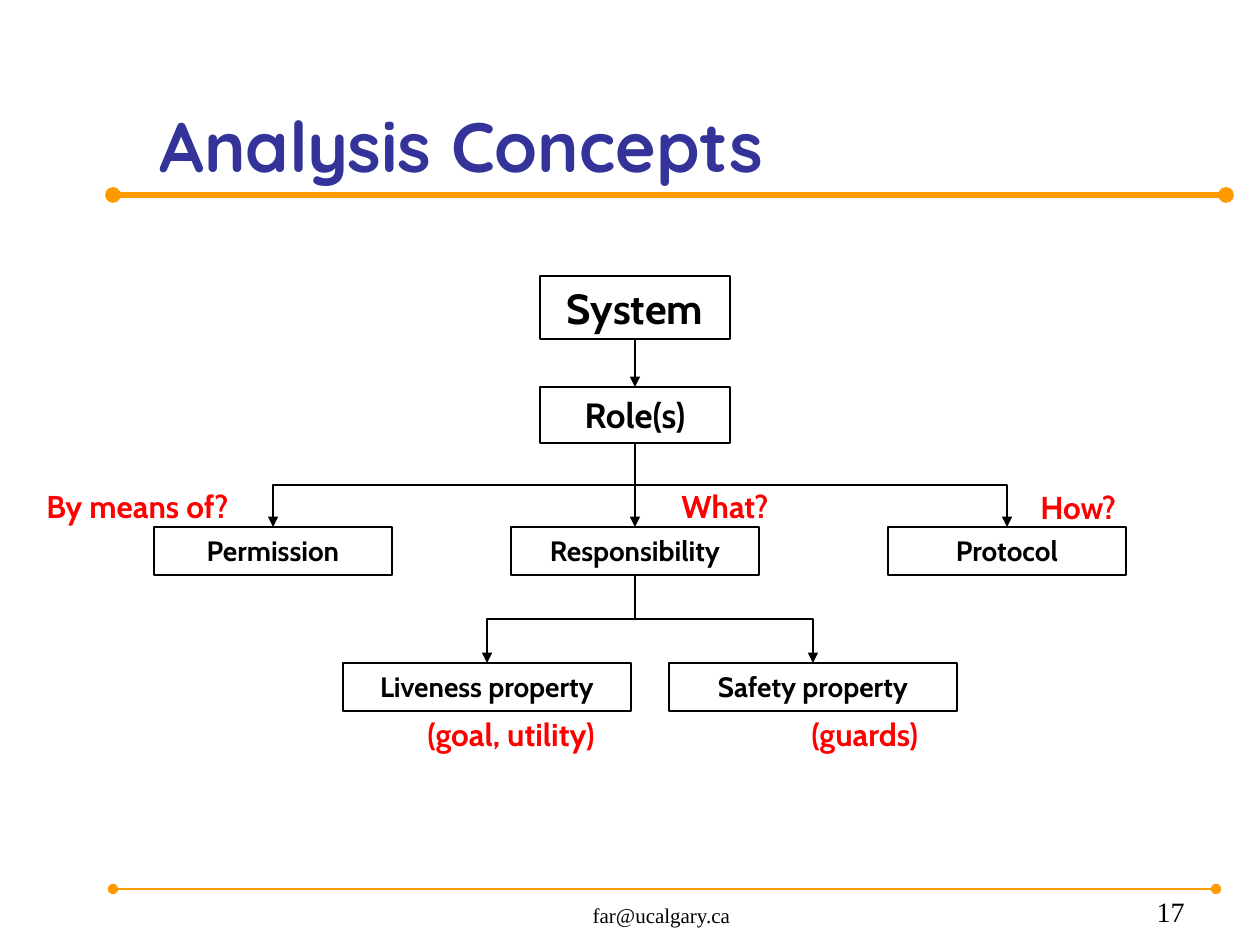
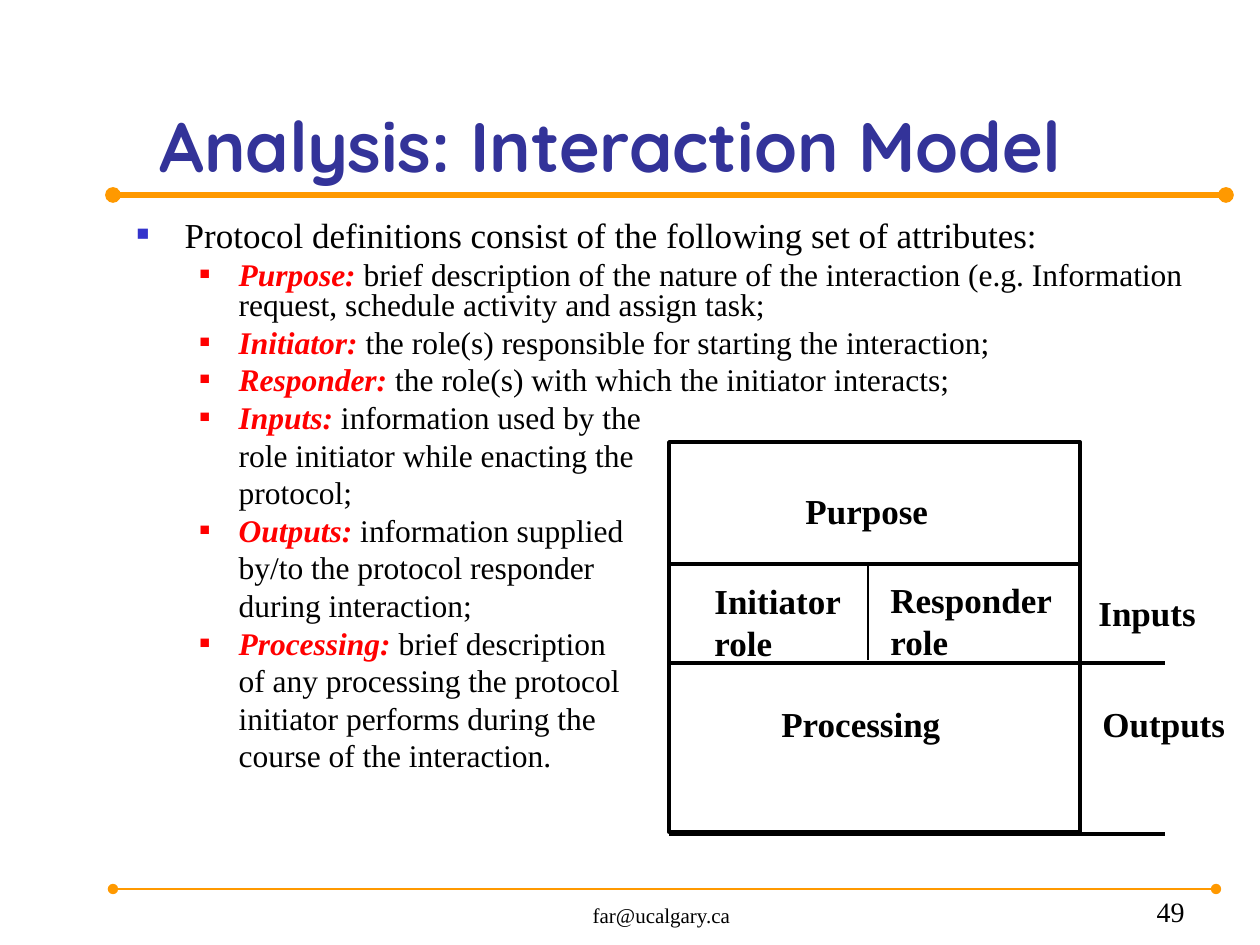
from collections import namedtuple

from lxml import etree
from pptx import Presentation
from pptx.dml.color import RGBColor
from pptx.enum.shapes import MSO_CONNECTOR, MSO_SHAPE
from pptx.enum.text import MSO_ANCHOR, MSO_AUTO_SIZE, PP_ALIGN
from pptx.oxml.ns import qn
from pptx.util import Pt

EMU_PER_PX = 914400 / 126
STRAIGHT, ELBOW = MSO_CONNECTOR.STRAIGHT, MSO_CONNECTOR.ELBOW
RECTANGLE = MSO_SHAPE.RECTANGLE
TOP, BOTTOM = MSO_ANCHOR.TOP, MSO_ANCHOR.BOTTOM
LEFT, CENTER, RIGHT = PP_ALIGN.LEFT, PP_ALIGN.CENTER, PP_ALIGN.RIGHT
TITLE_AND_BODY, TITLE_ONLY = 1, 5

COLORS = {
    "title": "333399",
    "rule": "FF9900",
    "ink": "000000",
    "accent": "FF0000",
    "bullet": "3333CC",
    "paper": "FFFFFF",
}
SERIF, DIAGRAM_FONT, TITLE_FONT = "Times New Roman", "Cabin", "Quicksand"

Box = namedtuple("Box", "left top width height")


def px(length):
    return round(length * EMU_PER_PX)


def rgb(name):
    return RGBColor.from_string(COLORS[name])


def inside(box, left, top, width, height):
    """Turn a place relative to box into a place on the page."""
    return Box(box.left + left, box.top + top, width, height)


def place(shape, box):
    shape.left, shape.top, shape.width, shape.height = map(px, box)


# Text

def write(para, text, size=18, font=SERIF, color="ink", bold=False,
          italic=False, align=LEFT):
    para.alignment = align
    span = para.add_run()
    span.text = text
    span.font.size = Pt(size)
    span.font.name = font
    span.font.bold = bold
    span.font.italic = italic
    span.font.color.rgb = rgb(color)


def set_frame(frame, anchor=TOP):
    frame.word_wrap = True
    frame.auto_size = MSO_AUTO_SIZE.NONE
    frame.vertical_anchor = anchor


def add_label(page, box, text, anchor=TOP, **style):
    label = page.shapes.add_textbox(*map(px, box))
    set_frame(label.text_frame, anchor)
    write(label.text_frame.paragraphs[0], text, **style)


# Shapes and lines

def add_rect(page, box, text="", fill=None, line="ink", weight=0.75, **style):
    rect = page.shapes.add_shape(RECTANGLE, *map(px, box))
    rect.shadow.inherit = False
    if fill:
        rect.fill.solid()
        rect.fill.fore_color.rgb = rgb(fill)
    else:
        rect.fill.background()
    rect.line.color.rgb = rgb(line)
    rect.line.width = Pt(weight)
    if text:
        set_frame(rect.text_frame)
        write(rect.text_frame.paragraphs[0], text, bold=True, **style)


def style_line(line, color="ink", weight=0.75, head=None, tail=None):
    line.line.color.rgb = rgb(color)
    line.line.width = Pt(weight)
    properties = line._element.spPr
    outline = properties.find(qn("a:ln"))
    for tag, kind in (("a:headEnd", head), ("a:tailEnd", tail)):
        if kind:
            etree.SubElement(outline, qn(tag), type=kind)
    etree.SubElement(properties, qn("a:effectLst"))


def add_line(page, start, end, **style):
    line = page.shapes.add_connector(STRAIGHT, *map(px, (*start, *end)))
    style_line(line, **style)


def add_branch(page, start, end):
    """Elbow arrow that leaves downwards, runs sideways, then drops."""
    (x1, y1), (x2, y2) = start, end
    center_x, center_y = (x1 + x2) / 2, (y1 + y2) / 2
    half_drop, half_run = (y2 - y1) / 2, abs(x2 - x1) / 2
    side = 1 if x2 > x1 else -1
    branch = page.shapes.add_connector(
        ELBOW,
        px(center_x + side * half_drop), px(center_y - half_run),
        px(center_x - side * half_drop), px(center_y + half_run))
    turn = 270 if side > 0 else 90
    branch._element.spPr.find(qn("a:xfrm")).set("rot", str(turn * 60000))
    style_line(branch, tail="triangle")


# Shared page parts

def add_page(deck, layout, title, number):
    page = deck.slides.add_slide(deck.slide_layouts[layout])
    for end_x, y, weight in ((1226, 195, 3), (1216, 889, 1.5)):
        add_line(page, (113, y), (end_x, y), color="rule", weight=weight,
                 head="oval", tail="oval")
    add_label(page, Box(462, 879, 399, 55), "far@ucalgary.ca", BOTTOM,
              size=12, align=CENTER)
    add_label(page, Box(935, 879, 262, 55), number, BOTTOM,
              size=16, align=RIGHT)
    heading = page.shapes.title
    place(heading, Box(147, 35, 1085, 158))
    set_frame(heading.text_frame, BOTTOM)
    write(heading.text_frame.paragraphs[0], title, size=40, font=TITLE_FONT,
          color="title", bold=True)
    return page


# Concept tree: name, centre x, top, width, height, text size
CONCEPTS = [
    ("System", 601, 0, 190, 63, 24),
    ("Role(s)", 601, 111, 190, 56, 20),
    ("Permission", 239, 251, 238, 48, 16),
    ("Responsibility", 601, 251, 248, 48, 16),
    ("Protocol", 973, 251, 238, 48, 16),
    ("Liveness property", 453, 387, 288, 48, 16),
    ("Safety property", 779, 387, 288, 48, 16),
]
CONCEPT_LINKS = [
    ("System", "Role(s)"),
    ("Role(s)", "Permission"),
    ("Role(s)", "Responsibility"),
    ("Role(s)", "Protocol"),
    ("Responsibility", "Liveness property"),
    ("Responsibility", "Safety property"),
]
CONCEPT_NOTES = [
    ("By means of?", 0, 205, 237),
    ("What?", 635, 205, 127),
    ("How?", 994, 206, 115),
    ("(goal, utility)", 381, 433, 236),
    ("(guards)", 765, 433, 163),
]


def add_concept_tree(page, box):
    tops, bottoms = {}, {}
    for name, center, top, width, height, size in CONCEPTS:
        node = inside(box, center - width / 2, top, width, height)
        add_rect(page, node, name, size=size, font=DIAGRAM_FONT, align=CENTER)
        tops[name] = (box.left + center, node.top)
        bottoms[name] = (box.left + center, node.top + height)
    for parent, child in CONCEPT_LINKS:
        start, end = bottoms[parent], tops[child]
        if start[0] == end[0]:
            add_line(page, start, end, tail="triangle")
        else:
            add_branch(page, start, end)
    for text, left, top, width in CONCEPT_NOTES:
        add_label(page, inside(box, left, top, width, 50), text,
                  font=DIAGRAM_FONT, color="accent", bold=True)


# Attribute list: term, then the lines that define it
INTRO = "Protocol definitions consist of the following set of attributes:"
ATTRIBUTES = [
    ("Purpose:", ["brief description of the nature of the interaction "
                  "(e.g. Information request, schedule activity and "
                  "assign task;"]),
    ("Initiator:", ["the role(s) responsible for starting the interaction;"]),
    ("Responder:", ["the role(s) with which the initiator interacts;"]),
    ("Inputs:", ["information used by the",
                 "role initiator while enacting the", "protocol;"]),
    ("Outputs:", ["information supplied", "by/to the protocol responder",
                  "during interaction;"]),
    ("Processing:", ["brief description", "of any processing the protocol",
                     "initiator performs during the",
                     "course of the interaction."]),
]


def format_item(para, margin, hanging=0, color=None, percent=100):
    para.line_spacing = 0.8
    properties = para._p.get_or_add_pPr()
    properties.set("marL", str(px(margin)))
    properties.set("indent", str(-px(hanging)))
    if not color:
        etree.SubElement(properties, qn("a:buNone"))
        return
    tint = etree.SubElement(properties, qn("a:buClr"))
    etree.SubElement(tint, qn("a:srgbClr"), val=COLORS[color])
    etree.SubElement(properties, qn("a:buSzPct"), val=str(percent * 1000))
    etree.SubElement(properties, qn("a:buFont"), typeface=SERIF)
    etree.SubElement(properties, qn("a:buChar"), char="■")


def add_attribute_list(page, box):
    body = page.placeholders[1]
    place(body, box)
    frame = body.text_frame
    set_frame(frame)
    intro = frame.paragraphs[0]
    format_item(intro, 48, 48, "bullet", 60)
    intro.space_before = Pt(0)
    write(intro, INTRO, size=20)
    for term, lines in ATTRIBUTES:
        for index, line in enumerate(lines):
            para = frame.add_paragraph()
            para.level = 1
            para.space_before = Pt(4.2)
            if index == 0:
                format_item(para, 102, 39, "accent", 55)
                write(para, term, color="accent", bold=True, italic=True)
                write(para, " " + line)
            else:
                format_item(para, 102)
                write(para, line)


# Protocol card: text and its place on the card
CARD_LABELS = [
    ("Purpose", 124, 41, 155, 67),
    ("Initiator role", 33, 131, 155, 88),
    ("Responder role", 209, 130, 199, 91),
    ("Inputs", 417, 143, 132, 67),
    ("Outputs", 421, 254, 155, 67),
    ("Processing", 100, 254, 199, 67),
]


def add_protocol_card(page, box):
    divider = box.left + 199
    add_line(page, (divider, box.top + 121), (divider, box.top + 218),
             weight=1)
    for text, *spot in CARD_LABELS:
        add_rect(page, inside(box, *spot), text, fill="paper", line="paper",
                 size=20)
    add_rect(page, box, weight=2)
    for offset, length in ((122, box.width), (221, 496), (392, 496)):
        y = box.top + offset
        add_line(page, (box.left, y), (box.left + length, y), weight=2)


def main():
    deck = Presentation()
    deck.slide_width, deck.slide_height = px(1260), px(945)

    page = add_page(deck, TITLE_ONLY, "Analysis Concepts", "17")
    add_concept_tree(page, Box(34, 276, 1092, 483))

    page = add_page(deck, TITLE_AND_BODY, "Analysis: Interaction Model", "49")
    add_attribute_list(page, Box(124, 215, 1081, 625))
    add_protocol_card(page, Box(669, 442, 411, 390))

    deck.save("out.pptx")


if __name__ == "__main__":
    main()
